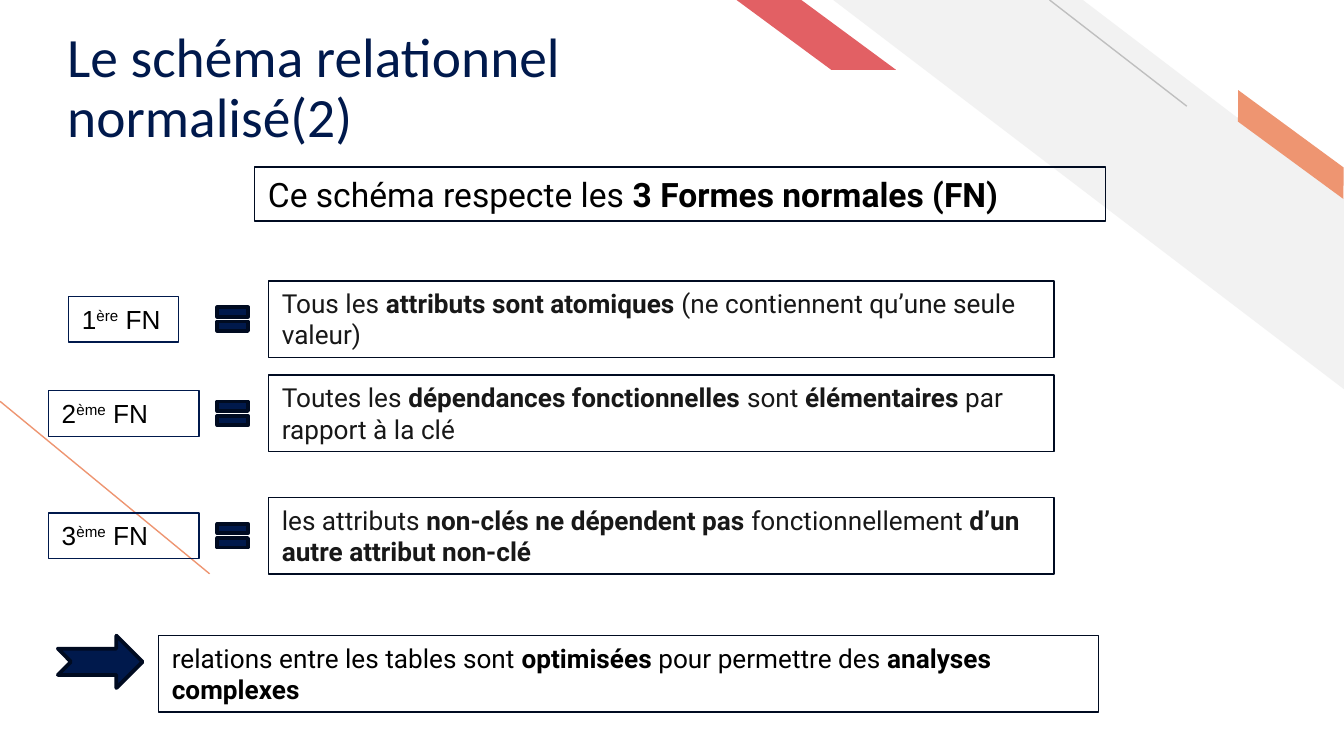
from pptx import Presentation
from pptx.dml.color import RGBColor
from pptx.enum.shapes import MSO_CONNECTOR, MSO_SHAPE
from pptx.enum.text import MSO_ANCHOR, MSO_AUTO_SIZE, PP_ALIGN
from pptx.oxml.ns import qn
from pptx.util import Pt

RECT = MSO_SHAPE.RECTANGLE
STRIPE = MSO_SHAPE.DIAGONAL_STRIPE
SLANT = MSO_SHAPE.PARALLELOGRAM
EQUAL = MSO_SHAPE.MATH_EQUAL
ARROW = MSO_SHAPE.NOTCHED_RIGHT_ARROW
STRAIGHT = MSO_CONNECTOR.STRAIGHT
LEFT = PP_ALIGN.LEFT
TOP, BOTTOM = MSO_ANCHOR.TOP, MSO_ANCHOR.BOTTOM
GROW, NO_FIT = MSO_AUTO_SIZE.SHAPE_TO_FIT_TEXT, MSO_AUTO_SIZE.NONE

COLORS = {
    "navy": "00194C", "dark": "000B21", "black": "000000", "text": "181818",
    "pale": "F2F2F2", "grey": "BFBFBF", "orange": "EE9571", "red": "E26064",
}

# Normal forms: row top, ordinal, superscript, [(text, bold)]
FORMS = [
    (150.5, "1", "ère", [
        ("Tous les ", False), ("attributs sont atomiques ", True),
        ("(ne contiennent qu’une seule valeur)", False)]),
    (201, "2", "ème", [
        ("Toutes les ", False), ("dépendances fonctionnelles ", True),
        ("sont ", False), ("élémentaires", True),
        (" par rapport à la clé", False)]),
    (266.5, "3", "ème", [
        ("les attributs ", False), ("non-clés ne dépendent pas ", True),
        ("fonctionnellement ", False),
        ("d’un autre attribut non-clé", True)]),
]
LABELS = [(36.7, 59), (26, 80.6), (26, 80.6)]  # left, width


def rgb(name):
    return RGBColor.from_string(COLORS[name])


def add_shape(slide, kind, box, fill=None, line=None, width=0.75):
    sp = slide.shapes.add_shape(kind, *[Pt(v) for v in box])
    sp.shadow.inherit = False
    if fill:
        sp.fill.solid()
        sp.fill.fore_color.rgb = rgb(fill)
    else:
        sp.fill.background()
    if line:
        sp.line.color.rgb = rgb(line)
        sp.line.width = Pt(width)
    else:
        sp.line.fill.background()
    return sp


def add_line(slide, ends, color):
    ln = slide.shapes.add_connector(STRAIGHT, *[Pt(v) for v in ends])
    ln.line.color.rgb = rgb(color)
    ln.line.width = Pt(0.75)
    sp_pr = ln._element.spPr
    sp_pr.append(sp_pr.makeelement(qn("a:effectLst"), {}))


def add_run(p, text, size, font, color, bold=False):
    r = p.add_run()
    r.text = text
    r.font.size = Pt(size)
    r.font.name = font
    r.font.bold = bold
    r.font.color.rgb = rgb(color)
    return r


def add_frame(slide, box, line="dark"):
    """Outlined box; returns its empty left-aligned paragraph."""
    tf = add_shape(slide, RECT, box, line=line).text_frame
    tf.word_wrap = True
    tf.auto_size = GROW
    tf.vertical_anchor = TOP
    p = tf.paragraphs[0]
    p.alignment = LEFT
    return p


def add_statement(slide, box, runs, size=14, color="black"):
    p = add_frame(slide, box)
    for text, bold in runs:
        add_run(p, text, size, "Roboto", color, bold)


def add_decor(slide):
    def band(kind, box, adj, fill, rotation=0):
        sp = add_shape(slide, kind, box, fill=fill)
        sp.adjustments[0] = adj
        sp.rotation = rotation
        sp._element.spPr.find(qn("a:xfrm")).set("flipH", "1")

    add_line(slide, (112.3, 307.4, 0, 215), "orange")
    band(STRIPE, (446.4, 0, 274, 208.8), 0.512, "pale")
    add_line(slide, (635.8, 56.9, 562.3, 0), "grey")
    band(SLANT, (651.6, 70.6, 79.9, 13.7), 0.72, "orange", 36.3)
    band(SLANT, (394.6, 0, 85.4, 37.4), 1.356, "red")


def add_title(slide, box, text):
    title = slide.shapes.title
    title.left, title.top, title.width, title.height = [Pt(v) for v in box]
    tf = title.text_frame
    tf.word_wrap = True
    tf.auto_size = NO_FIT
    tf.vertical_anchor = BOTTOM
    tf.margin_left = tf.margin_right = Pt(5)
    tf.margin_top, tf.margin_bottom = Pt(2.9), Pt(0)
    p = tf.paragraphs[0]
    p.alignment = LEFT
    p.line_spacing = 0.9
    add_run(p, text, 29.7, "Calibri", "navy")


def add_form(slide, box, label, ordinal, suffix, runs):
    """Label, equal sign and definition, centred on one row."""
    left, top, width, height = box
    middle = top + height / 2
    label_left, label_width = label
    p = add_frame(slide, (label_left, middle - 12.25, label_width, 24.5), "navy")
    for text, raised in [(ordinal, False), (suffix, True), (" FN", False)]:
        r = add_run(p, text, 14, "Arial", "black")
        if raised:
            r._r.get_or_add_rPr().set("baseline", "30000")
    add_shape(slide, EQUAL, (left - 30.4, middle - 10.8, 22.3, 21.6),
              "navy", "dark", 2)
    add_statement(slide, box, runs, color="text")


def add_conclusion(slide, box, runs):
    left, top, width, height = box
    add_shape(slide, ARROW, (left, top, 45.4, 28.1), "navy", "dark", 2)
    add_statement(slide, (left + 54, top, width - 54, height), runs)


def main():
    prs = Presentation()
    prs.slide_width, prs.slide_height = Pt(720), Pt(405)
    slide = prs.slides.add_slide(prs.slide_layouts[5])
    add_decor(slide)
    add_title(slide, (31, 12.2, 369.4, 67.7),
              "Le schéma relationnel normalisé(2)")
    add_statement(slide, (136.5, 89.5, 455.8, 29), [
        ("Ce schéma respecte les ", False),
        ("3 Formes normales (FN)", True)], size=18)
    for (top, *form), label in zip(FORMS, LABELS):
        add_form(slide, (143.9, top, 420.9, 41), label, *form)
    add_conclusion(slide, (31, 340.5, 557.5, 41), [
        ("relations entre les tables sont ", False), ("optimisées", True),
        (" pour permettre des ", False), ("analyses complexes", True)])
    prs.save("out.pptx")


if __name__ == "__main__":
    main()
